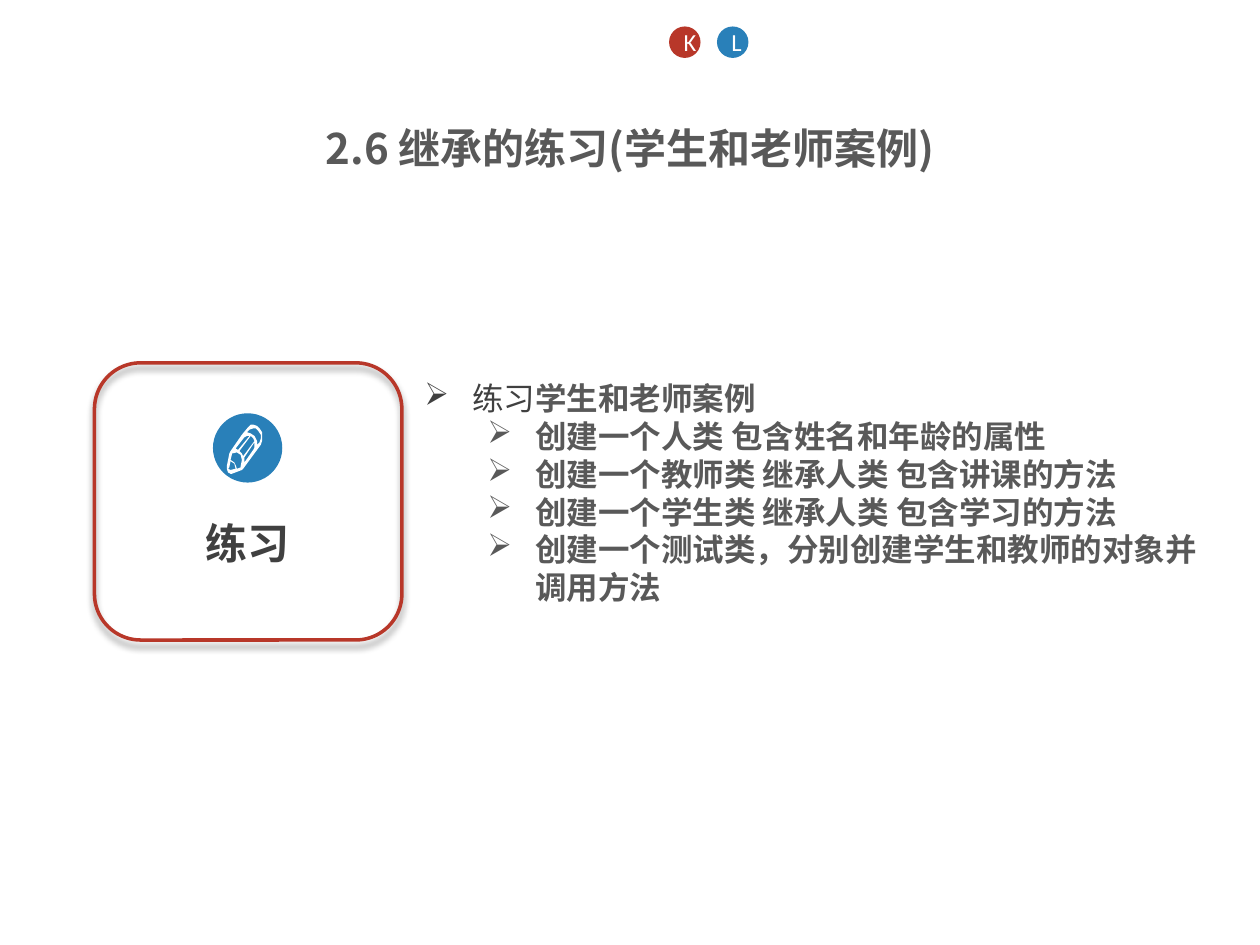
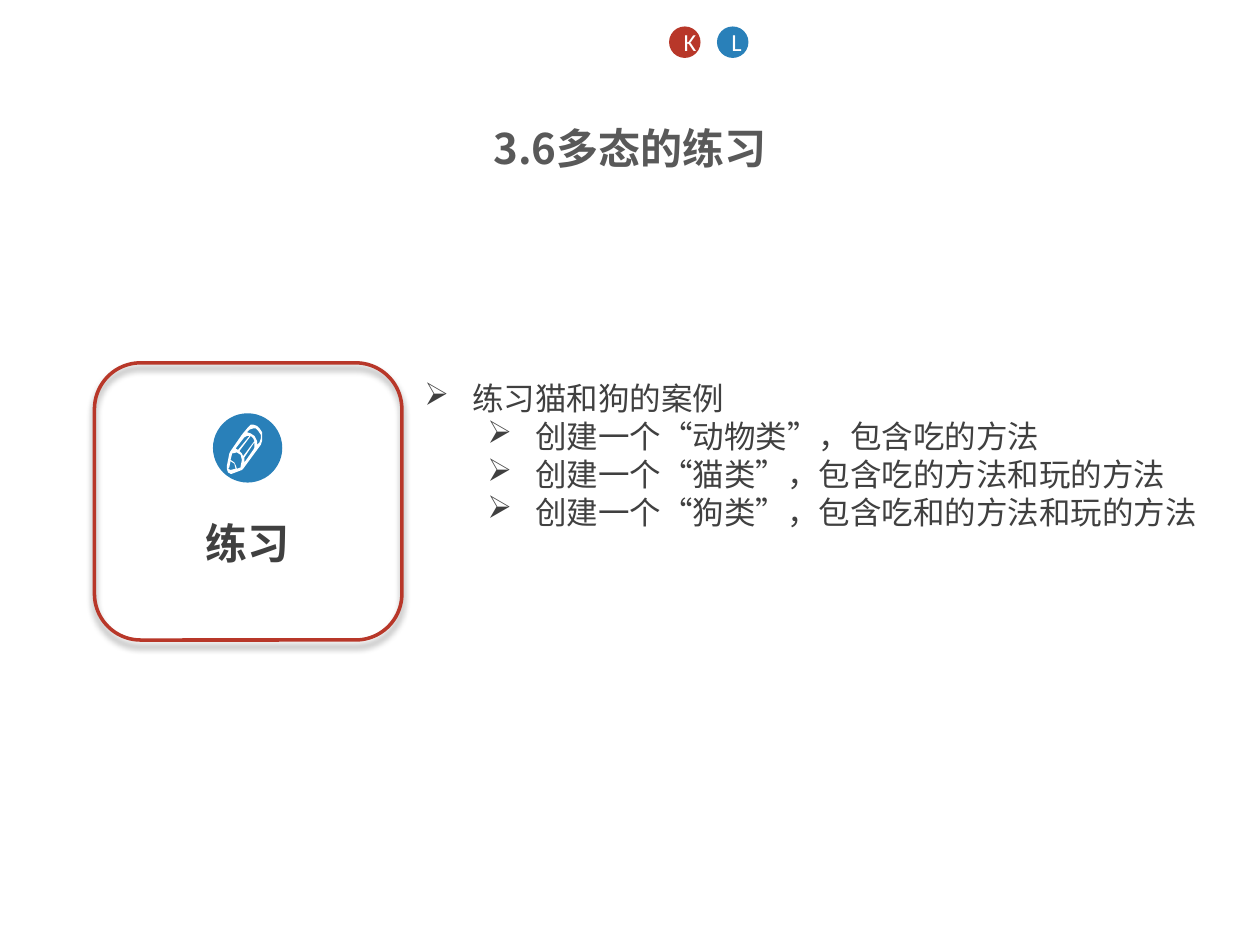
from lxml.etree import SubElement as Sub
from pptx import Presentation
from pptx.dml.color import RGBColor as Rgb
from pptx.enum.shapes import MSO_SHAPE as Shape
from pptx.enum.text import MSO_ANCHOR as Anchor, MSO_AUTO_SIZE as Fit, PP_ALIGN as Align
from pptx.oxml.ns import qn
from pptx.util import Inches, Pt

COLORS = {"red": "B83729", "blue": "2980B9", "white": "FFFFFF",
          "dark": "404040", "gray": "595959", "black": "000000"}
CJK = "Noto Sans CJK SC"
FONTS = {
    "title": ("gray", {"name": CJK, "size": Pt(24), "bold": True}),
    "label": ("dark", {"name": CJK, "size": Pt(24), "bold": True}),
    "plain": ("dark", {"name": CJK, "size": Pt(18), "bold": False}),
    "strong": ("gray", {"name": CJK, "size": Pt(18), "bold": True}),
    "badge": ("white", {"name": "Calibri", "size": Pt(14), "bold": False}),
}
PENCIL = [
    [(26, 3), (24, 1), (21, 0), (19, 0), (17, 2), (12, 8), (3, 21), (2, 23), (0, 33),
     (0, 35), (1, 38), (3, 39), (4, 39), (12, 36), (13, 35), (27, 16), (28, 13),
     (28, 10), (28, 6)],
    [(26, 14), (24, 16), (24, 13), (22, 9), (19, 7), (16, 6), (18, 4), (21, 3),
     (23, 3), (25, 5), (27, 8), (27, 11)],
    [(8, 35), (7, 32), (6, 30), (3, 28), (4, 24), (4, 23), (8, 22), (11, 24),
     (12, 28), (11, 33), (11, 34)],
    [(3, 36), (1, 35), (2, 34), (3, 29), (6, 31), (7, 35)],
    [(9, 20), (7, 19), (14, 10), (16, 9), (18, 9)],
    [(13, 25), (12, 23), (10, 21), (19, 9), (21, 11), (22, 13)],
    [(14, 29), (14, 26), (22, 14), (22, 18), (21, 20), (14, 30)],
]
PAGES = [
    ("2.6 继承的练习(学生和老师案例)", "strong",
     [("练习", "plain"), ("学生和老师案例", "strong")],
     ["创建一个人类 包含姓名和年龄的属性",
      "创建一个教师类 继承人类 包含讲课的方法",
      "创建一个学生类 继承人类 包含学习的方法",
      "创建一个测试类，分别创建学生和教师的对象并调用方法"], 1.92),
    ("3.6多态的练习", "plain", [("练习猫和狗的案例", "plain")],
     ["创建一个“动物类”，包含吃的方法",
      "创建一个“猫类”，包含吃的方法和玩的方法",
      "创建一个“狗类”，包含吃和的方法和玩的方法"], 1.31),
]


def assign(item, values):
    """Set each named attribute of an item."""
    for key, value in values.items():
        setattr(item, key, value)


def color(name):
    """Look up a colour by name."""
    return Rgb.from_string(COLORS[name])


def write(para, text, style):
    """Add a styled run to a paragraph."""
    run = para.add_run()
    run.text = text
    tint, values = FONTS[style]
    assign(run.font, values)
    run.font.color.rgb = color(tint)
    Sub(run.font._element, qn("a:ea"), typeface=values["name"])


def textbox(shapes, box, **frame):
    """Add a text box and return its frame."""
    text = shapes.add_textbox(*map(Inches, box)).text_frame
    assign(text, {"word_wrap": True, **frame})
    return text


def disc(shapes, box, fill):
    """Add a plain filled circle."""
    dot = shapes.add_shape(Shape.OVAL, *map(Inches, box))
    dot.shadow.inherit = False
    dot.fill.solid()
    dot.fill.fore_color.rgb = color(fill)
    dot.line.fill.background()
    return dot


def badge(shapes, box, letter, fill):
    """Draw a lettered circle at the top."""
    text = disc(shapes, box, fill).text_frame
    assign(text, {"word_wrap": True, "vertical_anchor": Anchor.MIDDLE})
    para = text.paragraphs[0]
    para.alignment = Align.CENTER
    write(para, letter, "badge")


def heading(shapes, box, words):
    """Write the centred slide title."""
    para = textbox(shapes, box).paragraphs[0]
    para.alignment = Align.CENTER
    write(para, words, "title")


def bullet(para, level, indent):
    """Give a paragraph an arrow bullet."""
    para.level = level
    props = para._p.get_or_add_pPr()
    props.set("marL", str(Inches(indent)))
    props.set("indent", str(Inches(-0.38)))
    Sub(props, qn("a:buChar"), char="➢")


def tasks(shapes, box, lead, lines, style):
    """List the task and its steps."""
    text = textbox(shapes, box, auto_size=Fit.SHAPE_TO_FIT_TEXT)
    para = text.paragraphs[0]
    bullet(para, 0, 0.38)
    for words, font in lead:
        write(para, words, font)
    for words in lines:
        para = text.add_paragraph()
        bullet(para, 1, 0.88)
        write(para, words, style)


def pencil(shapes, left, top):
    """Draw the pencil outline with its cut-outs."""
    first, *holes = PENCIL
    pen = shapes.build_freeform(*first[0], scale=Inches(0.01))
    pen.add_line_segments(first[1:], close=True)
    for hole in holes:
        pen.move_to(*hole[0])
        pen.add_line_segments(hole[1:], close=True)
    icon = pen.convert_to_shape(Inches(left), Inches(top))
    icon.shadow.inherit = False
    icon.fill.solid()
    icon.fill.fore_color.rgb = color("white")
    icon.line.fill.background()


def frame(shapes, box):
    """Draw the rounded border with a soft shadow."""
    edge = shapes.add_shape(Shape.ROUNDED_RECTANGLE, *map(Inches, box))
    edge.fill.background()
    edge.line.color.rgb = color("red")
    edge.line.width = Pt(2)
    edge.shadow.inherit = False
    effects = edge._element.spPr.find(qn("a:effectLst"))
    shade = Sub(effects, qn("a:outerShdw"), blurRad=str(Pt(4)), dist=str(Pt(3)),
                dir="5400000", rotWithShape="0")
    tint = Sub(shade, qn("a:srgbClr"), val=COLORS["black"])
    Sub(tint, qn("a:alpha"), val="40000")


def card(slide, box):
    """Build the grouped exercise card."""
    left, top = box[:2]
    shapes = slide.shapes.add_group_shape().shapes
    label = textbox(shapes, (left + 0.78, top + 1.22, 0.87, 0.45), word_wrap=False)
    para = label.paragraphs[0]
    assign(para, {"line_spacing": 0.9, "space_before": Pt(4.8), "space_after": Pt(4.8)})
    write(para, "练习", "label")
    disc(shapes, (left + 0.94, top + 0.4, 0.55, 0.55), "blue")
    pencil(shapes, left + 1.05, top + 0.49)
    frame(shapes, box)


def page(deck, title, style, lead, lines, height):
    """Build one exercise slide."""
    slide = deck.slides.add_slide(deck.slide_layouts[6])
    shapes = slide.shapes
    tasks(shapes, (3.27, 2.96, 6.37, height), lead, lines, style)
    heading(shapes, (0, 0.92, 10, 0.47), title)
    card(slide, (0.75, 2.88, 2.44, 2.2))
    for i, (letter, fill) in enumerate([("K", "red"), ("L", "blue")]):
        badge(shapes, (5.31 + 0.38 * i, 0.21, 0.25, 0.25), letter, fill)


def main():
    """Build and save the deck."""
    deck = Presentation()
    assign(deck, {"slide_width": Inches(10), "slide_height": Inches(7.5)})
    for item in PAGES:
        page(deck, *item)
    deck.save("out.pptx")


if __name__ == "__main__":
    main()
